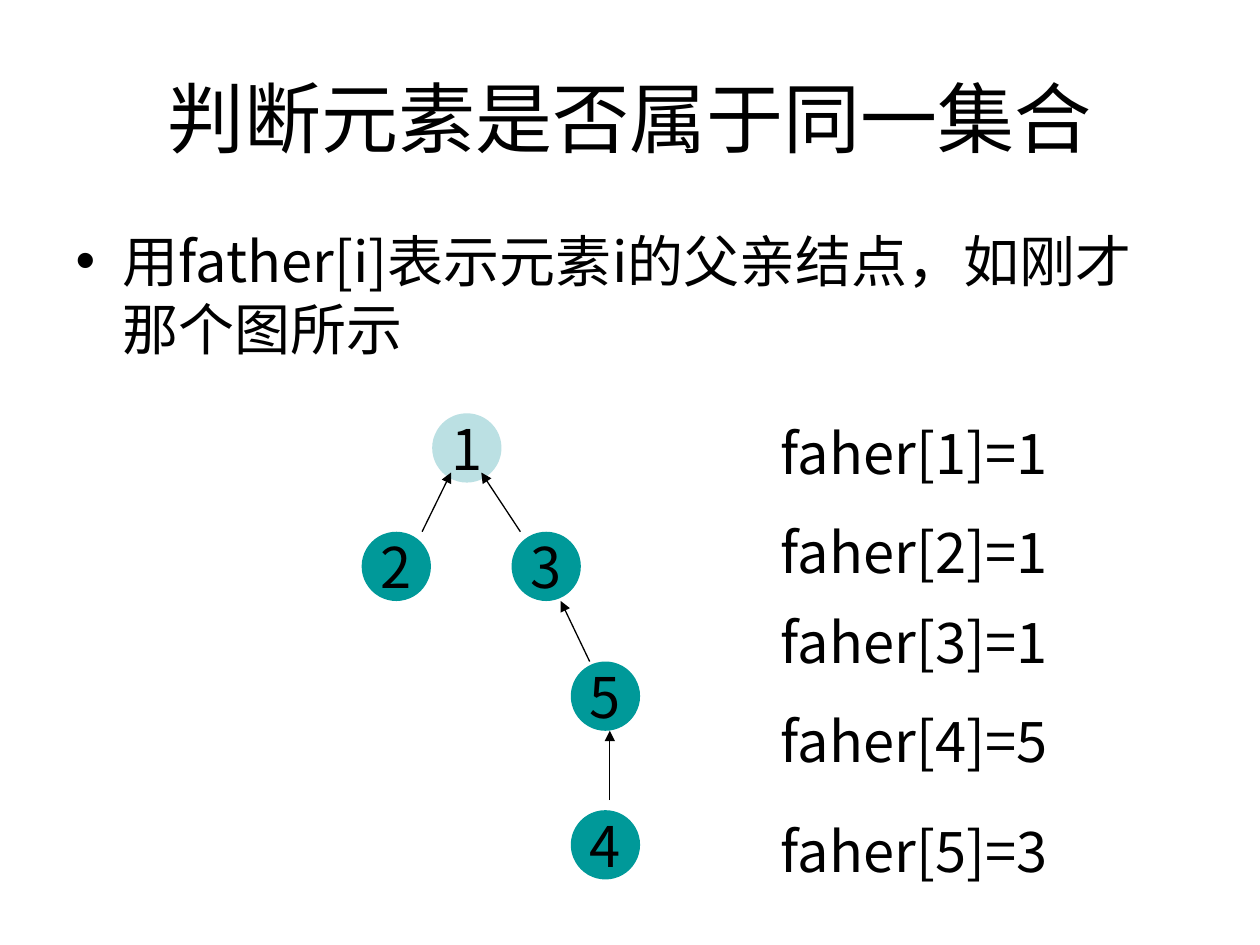
from lxml import etree
from pptx import Presentation
from pptx import util as u
from pptx.dml.color import RGBColor
from pptx.enum import shapes, text
from pptx.oxml.ns import qn

BLACK = RGBColor(0x00, 0x00, 0x00)
ROOT_FILL = RGBColor(0xBB, 0xE0, 0xE3)
NODE_FILL = RGBColor(0x00, 0x99, 0x99)
CJK_FONT = "Noto Sans CJK SC"

TITLE = "判断元素是否属于同一集合"
BODY = "用father[i]表示元素i的父亲结点，如刚才那个图所示"
FATHER = {1: 1, 2: 1, 3: 1, 4: 5, 5: 3}

# Inches
NODE_SIZE = 0.55
NODES = {1: (3.43, 3.28), 2: (2.87, 4.22), 3: (4.06, 4.22), 5: (4.53, 5.25), 4: (4.53, 6.43)}
# Child: (start x, gap above child, end x, rise of the end into the parent)
ARROWS = {2: (3.35, 0, 3.58, 0.08), 3: (4.13, 0, 3.82, 0.08),
          5: (4.68, 0, 4.45, 0), 4: (4.84, 0.08, 4.84, -0.18 + 0.18)}
LABEL_LEFT, LABEL_WIDTH, LABEL_HEIGHT = 6.1, 2.6, 0.64
LABEL_TOPS = (3.27, 4.06, 4.77, 5.56, 6.43)


def write(shape, words, size=32, font=CJK_FONT, **paragraph_format):
    """Fill a shape with one paragraph, using the font for Latin and Chinese text."""
    paragraph = shape.text_frame.paragraphs[0]
    for name, value in paragraph_format.items():
        setattr(paragraph, name, value)
    run = paragraph.add_run()
    run.text = words
    run.font.name, run.font.size = font, u.Pt(size)
    run.font.color.rgb = BLACK
    east_asian = etree.SubElement(run.font._element, qn("a:ea"))
    east_asian.set("typeface", font)


def place(shape, left, top, width, height):
    shape.left, shape.top = u.Inches(left), u.Inches(top)
    shape.width, shape.height = u.Inches(width), u.Inches(height)


def add_node(slide, number):
    box = [u.Inches(value) for value in (*NODES[number], NODE_SIZE, NODE_SIZE)]
    node = slide.shapes.add_shape(shapes.MSO_SHAPE.OVAL, *box)
    node.shadow.inherit = False
    node.fill.solid()
    node.fill.fore_color.rgb = ROOT_FILL if FATHER[number] == number else NODE_FILL
    node.line.fill.background()
    node.text_frame.word_wrap = False
    node.text_frame.vertical_anchor = text.MSO_ANCHOR.MIDDLE
    write(node, str(number), alignment=text.PP_ALIGN.CENTER, space_before=u.Pt(8))


def add_arrow(slide, child):
    start_x, gap, end_x, rise = ARROWS[child]
    start_y = NODES[child][1] - gap
    end_y = NODES[FATHER[child]][1] + NODE_SIZE - rise
    ends = [u.Inches(value) for value in (start_x, start_y, end_x, end_y)]
    arrow = slide.shapes.add_connector(shapes.MSO_CONNECTOR.STRAIGHT, *ends)
    arrow.line.color.rgb = BLACK
    arrow.line.width = u.Pt(0.75)
    etree.SubElement(arrow.line._get_or_add_ln(), qn("a:tailEnd")).set("type", "triangle")
    etree.SubElement(arrow._element.spPr, qn("a:effectLst"))


def add_label(slide, words, top):
    box = [u.Inches(value) for value in (LABEL_LEFT, top, LABEL_WIDTH, LABEL_HEIGHT)]
    label = slide.shapes.add_textbox(*box)
    label.text_frame.word_wrap = True
    label.text_frame.auto_size = text.MSO_AUTO_SIZE.SHAPE_TO_FIT_TEXT
    write(label, words, space_before=u.Pt(20))


def main():
    presentation = Presentation()
    presentation.slide_width, presentation.slide_height = u.Inches(10), u.Inches(7.5)
    slide = presentation.slides.add_slide(presentation.slide_layouts[1])

    title, body = slide.placeholders
    place(title, 0.5, 0.3, 9, 1.25)
    title.text_frame.vertical_anchor = text.MSO_ANCHOR.MIDDLE
    write(title, TITLE, size=44, font="Arial", alignment=text.PP_ALIGN.CENTER)
    place(body, 0.5, 1.75, 9, 4.95)
    write(body, BODY, space_before=u.Pt(8))

    for number in NODES:
        add_node(slide, number)
    for child in ARROWS:
        add_arrow(slide, child)
    for (child, father), top in zip(FATHER.items(), LABEL_TOPS):
        add_label(slide, f"faher[{child}]={father}", top)

    presentation.save("out.pptx")


if __name__ == "__main__":
    main()
